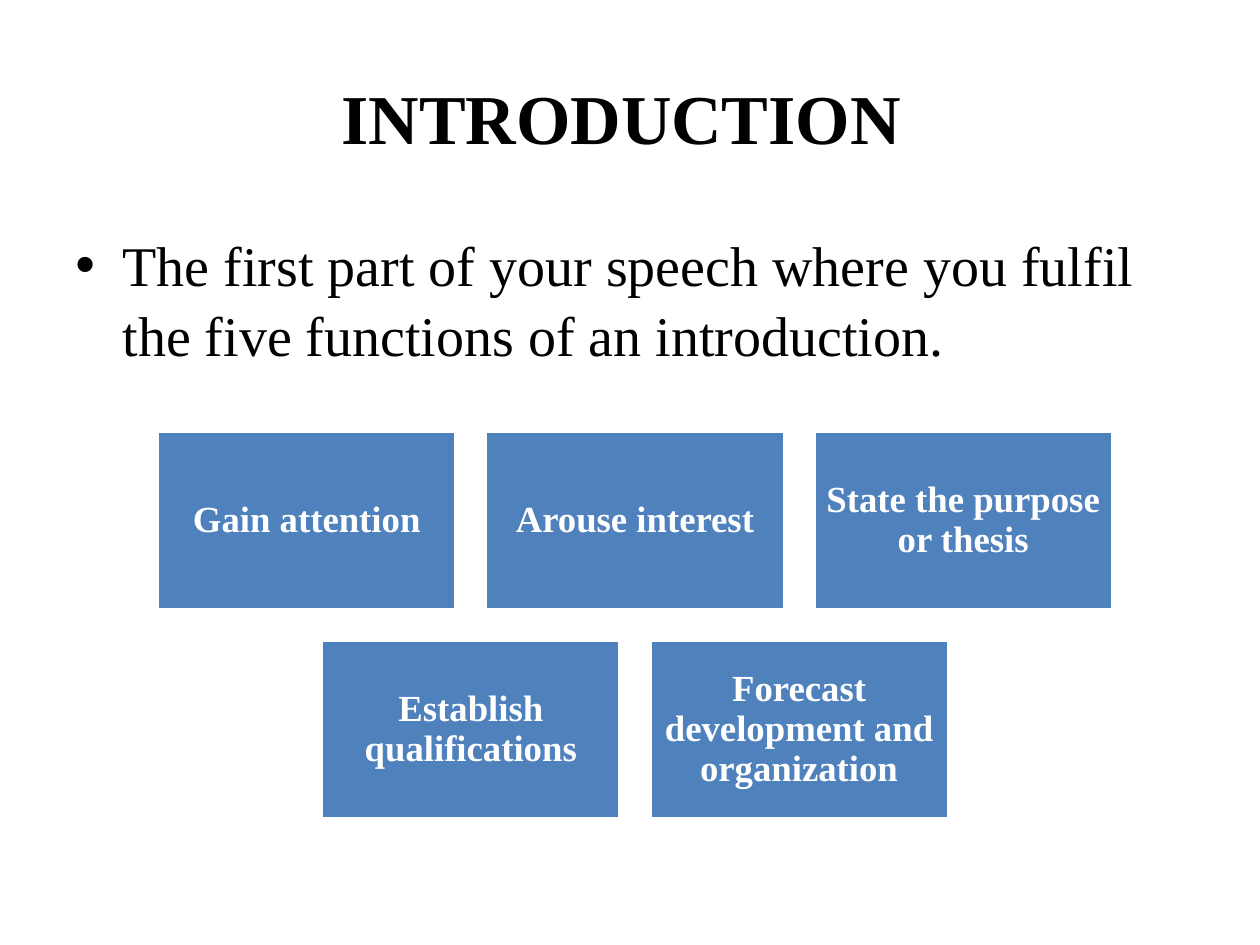
from lxml import etree
from pptx import Presentation
from pptx.dml.color import RGBColor
from pptx.enum.shapes import MSO_SHAPE
from pptx.enum.text import MSO_ANCHOR, PP_ALIGN
from pptx.oxml.ns import qn
from pptx.util import Inches, Pt

RECTANGLE = MSO_SHAPE.RECTANGLE
TOP, MIDDLE = MSO_ANCHOR.TOP, MSO_ANCHOR.MIDDLE
LEFT, CENTER = PP_ALIGN.LEFT, PP_ALIGN.CENTER
BLACK = RGBColor(0x00, 0x00, 0x00)
WHITE = RGBColor(0xFF, 0xFF, 0xFF)
BLUE = RGBColor(0x4F, 0x81, 0xBD)
FONT = "Times New Roman"

# Content
TITLE = "INTRODUCTION "
DEFINITION = "The first part of your speech where you fulfil the five functions of an introduction."
FUNCTION_ROWS = [
    ["Gain attention", "Arouse interest", "State the purpose or thesis"],
    ["Establish qualifications", "Forecast development and organization"],
]

# Layout in inches
SLIDE_WIDTH, SLIDE_HEIGHT = 10, 7.5
MARGIN = 0.5
CONTENT_WIDTH = SLIDE_WIDTH - 2 * MARGIN
BOX_WIDTH, BOX_HEIGHT = 2.37, 1.42
COLUMN_STEP, ROW_STEP = 2.605, 1.66
GRID_CENTER, GRID_TOP = 5.04, 3.42
BOX_INSET = 0.09
BULLET_INDENT = 0.375


def write_text(shape, text, size, color=BLACK, bold=False, align=LEFT,
               anchor=TOP, spacing=1.0, inset=None, bullet=None):
    frame = shape.text_frame
    frame.word_wrap = True
    frame.vertical_anchor = anchor
    if inset is not None:
        frame.margin_left = frame.margin_right = Inches(inset)
        frame.margin_top = frame.margin_bottom = Inches(inset)
    paragraph = frame.paragraphs[0]
    paragraph.text = text
    paragraph.alignment = align
    paragraph.line_spacing = spacing
    if bullet:
        properties = paragraph._p.get_or_add_pPr()
        properties.set("marL", str(Inches(BULLET_INDENT)))
        properties.set("indent", str(-Inches(BULLET_INDENT)))
        etree.SubElement(properties, qn("a:buFont")).set("typeface", "Arial")
        etree.SubElement(properties, qn("a:buChar")).set("char", bullet)
    font = paragraph.runs[0].font
    font.name, font.size, font.bold = FONT, Pt(size), bold
    font.color.rgb = color


presentation = Presentation()
presentation.slide_width = Inches(SLIDE_WIDTH)
presentation.slide_height = Inches(SLIDE_HEIGHT)
slide = presentation.slides.add_slide(presentation.slide_layouts[6])

# Title and definition
title = slide.shapes.add_textbox(
    Inches(MARGIN), Inches(0.3), Inches(CONTENT_WIDTH), Inches(1.25))
write_text(title, TITLE, 40, bold=True, align=CENTER, anchor=MIDDLE)
definition = slide.shapes.add_textbox(
    Inches(MARGIN), Inches(1.75), Inches(CONTENT_WIDTH), Inches(4.95))
write_text(definition, DEFINITION, 32, spacing=1.05, bullet="•")

# Five functions, each row centred on the grid
for row, functions in enumerate(FUNCTION_ROWS):
    row_width = (len(functions) - 1) * COLUMN_STEP + BOX_WIDTH
    row_left = GRID_CENTER - row_width / 2
    for column, function in enumerate(functions):
        box = slide.shapes.add_shape(
            RECTANGLE,
            Inches(row_left + column * COLUMN_STEP), Inches(GRID_TOP + row * ROW_STEP),
            Inches(BOX_WIDTH), Inches(BOX_HEIGHT))
        box.shadow.inherit = False
        box.fill.solid()
        box.fill.fore_color.rgb = BLUE
        box.line.color.rgb = WHITE
        box.line.width = Pt(2)
        write_text(box, function, 21, color=WHITE, bold=True, align=CENTER,
                   anchor=MIDDLE, spacing=0.9, inset=BOX_INSET)

presentation.save("out.pptx")
